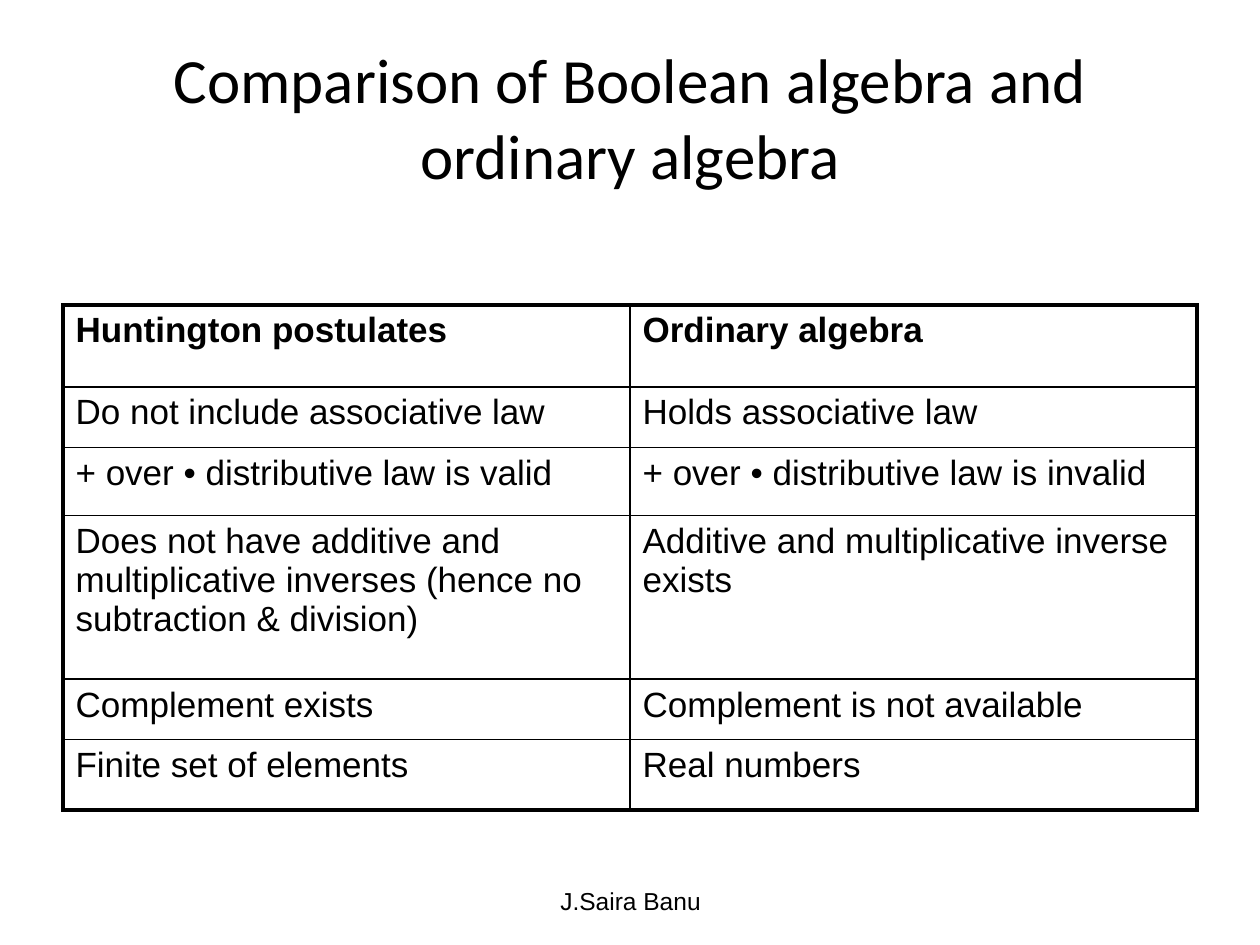
from dataclasses import dataclass

from lxml import etree
from pptx import Presentation
from pptx.dml.color import RGBColor
from pptx.enum.text import MSO_ANCHOR, PP_ALIGN
from pptx.oxml.ns import qn
from pptx.util import Inches, Pt

CENTER = PP_ALIGN.CENTER
MIDDLE = MSO_ANCHOR.MIDDLE


@dataclass
class Theme:
    ink: str = "000000"
    heading_font: str = "Calibri"
    body_font: str = "Arial"
    title_size: int = 36
    table_size: int = 20
    footer_size: int = 14
    outer_line: float = 2.25
    inner_line: float = 1


theme = Theme()


def style_text(frame, font_name, size, bold=False):
    for paragraph in frame.paragraphs:
        for run in paragraph.runs:
            run.font.name = font_name
            run.font.size = Pt(size)
            run.font.bold = bold
            run.font.color.rgb = RGBColor.from_string(theme.ink)


def add_border(cell, side, outer):
    width = theme.outer_line if outer else theme.inner_line
    line = etree.SubElement(cell._tc.get_or_add_tcPr(), qn(f"a:ln{side}"), w=str(Pt(width)))
    fill = etree.SubElement(line, qn("a:solidFill"))
    etree.SubElement(fill, qn("a:srgbClr"), val=theme.ink)


comparison = [
    ("Huntington postulates", "Ordinary algebra"),
    ("Do not include associative law", "Holds associative law"),
    ("+ over • distributive law is valid", "+ over • distributive law is invalid"),
    ("Does not have additive and multiplicative inverses (hence no subtraction & division)",
     "Additive and multiplicative inverse exists"),
    ("Complement exists", "Complement is not available"),
    ("Finite set of elements", "Real numbers"),
]
row_heights = [0.65, 0.48, 0.54, 1.3, 0.48, 0.56]
column_width = 4.5

presentation = Presentation()
presentation.slide_width = Inches(10)
presentation.slide_height = Inches(7.5)
slide = presentation.slides.add_slide(presentation.slide_layouts[5])

title = slide.shapes.title
title.left, title.top = Inches(0.5), Inches(0.3)
title.width, title.height = Inches(9), Inches(1.25)
title.text_frame.text = "Comparison of Boolean algebra and ordinary algebra"
title.text_frame.vertical_anchor = MIDDLE
title.text_frame.paragraphs[0].alignment = CENTER
style_text(title.text_frame, theme.heading_font, theme.title_size)

row_count, column_count = len(comparison), len(comparison[0])
table = slide.shapes.add_table(
    row_count, column_count, Inches(0.5), Inches(2.42),
    Inches(column_width * column_count), Inches(sum(row_heights)),
).table
table.first_row = False
table.horz_banding = False
for column in table.columns:
    column.width = Inches(column_width)

for r, (statements, height) in enumerate(zip(comparison, row_heights)):
    table.rows[r].height = Inches(height)
    for c, statement in enumerate(statements):
        cell = table.cell(r, c)
        cell.text_frame.text = statement
        style_text(cell.text_frame, theme.body_font, theme.table_size, bold=r == 0)
        add_border(cell, "L", c == 0)
        add_border(cell, "R", c == column_count - 1)
        add_border(cell, "T", r == 0)
        add_border(cell, "B", r == row_count - 1)
        cell.fill.background()

footer = slide.shapes.add_textbox(Inches(3.42), Inches(6.95), Inches(3.17), Inches(0.4)).text_frame
footer.word_wrap = True
footer.vertical_anchor = MIDDLE
footer.text = "J.Saira Banu"
footer.paragraphs[0].alignment = CENTER
style_text(footer, theme.body_font, theme.footer_size)

presentation.save("out.pptx")
